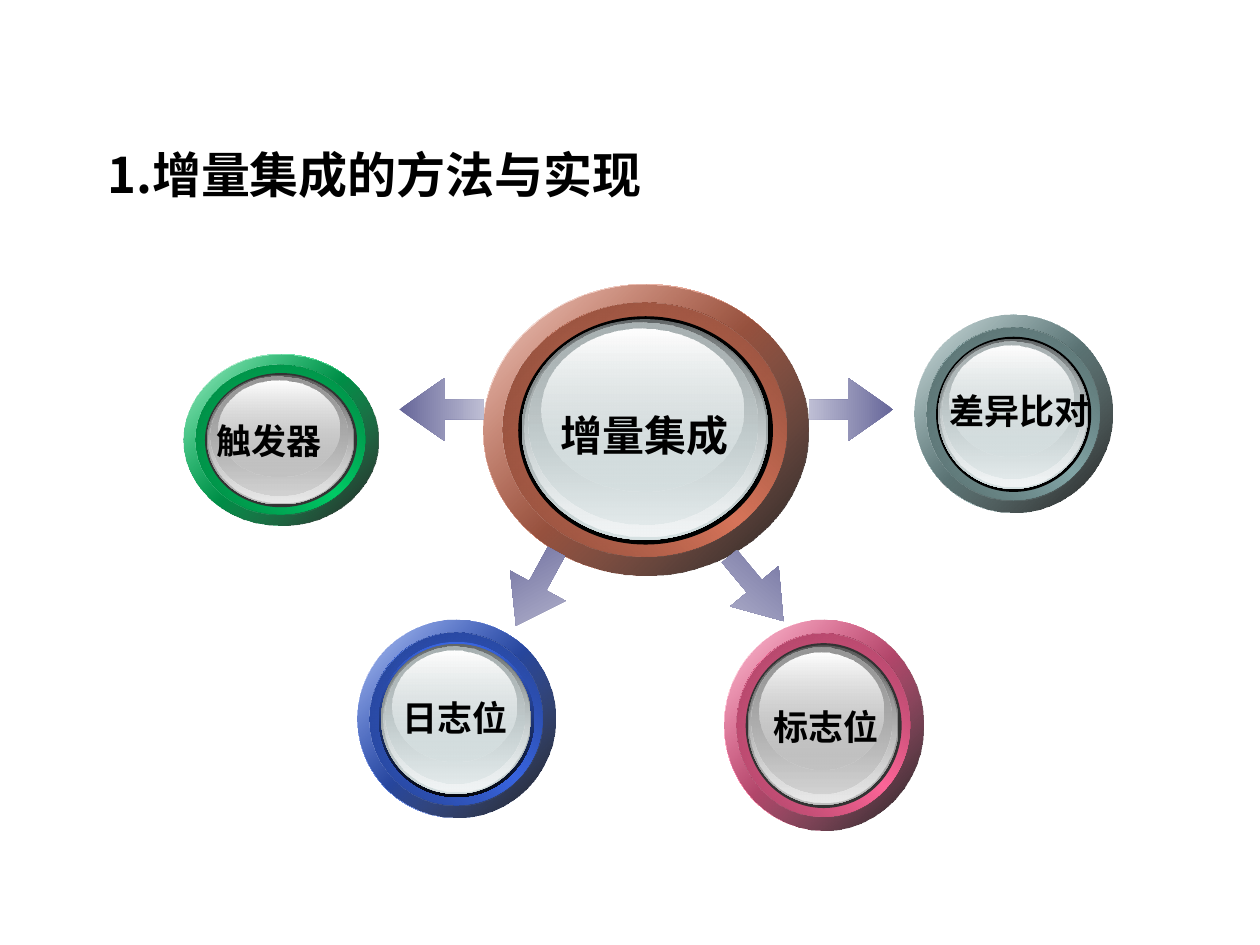
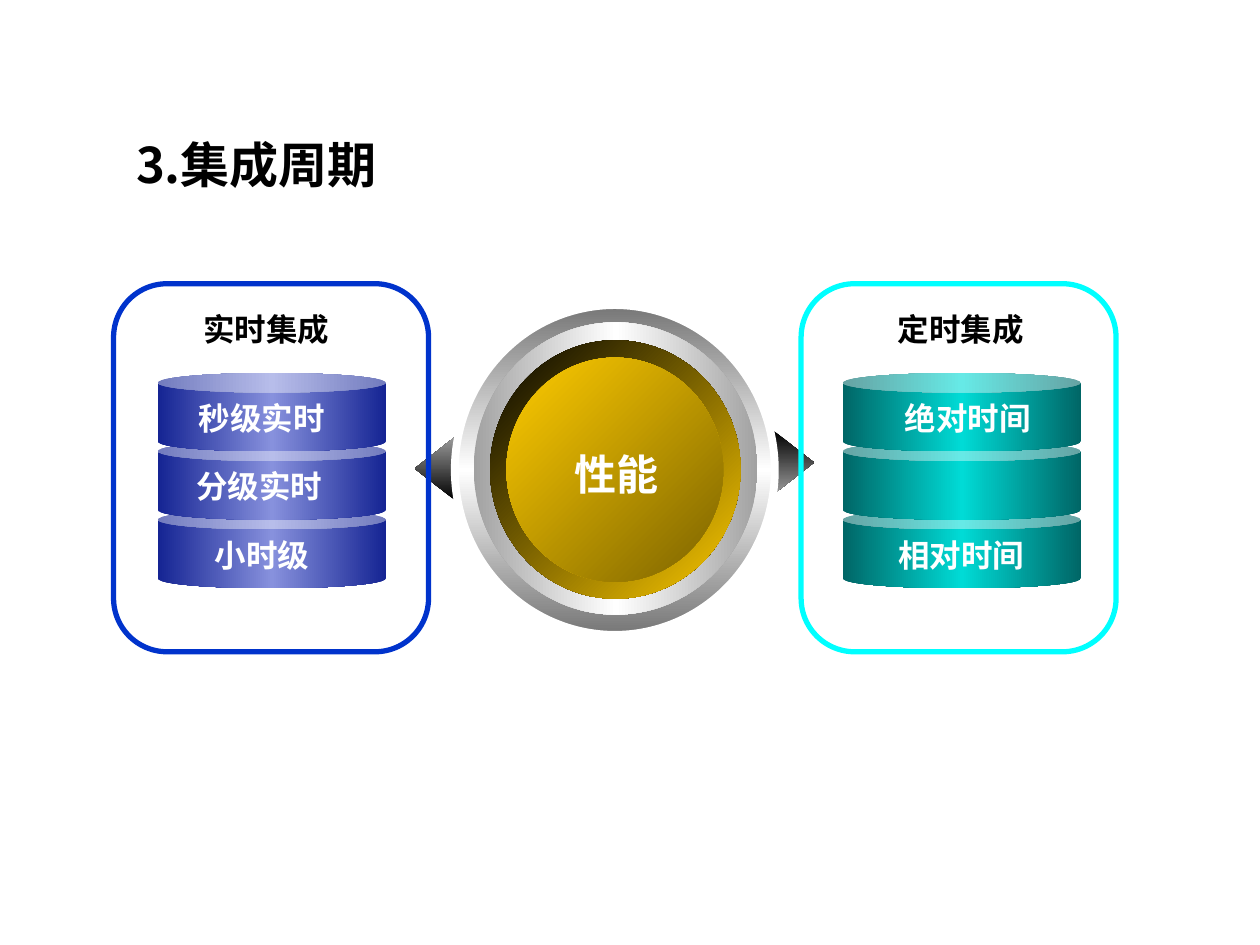
"""Build two slides on data integration: its methods and its cycles."""
from dataclasses import dataclass

from lxml import etree
from pptx import Presentation
from pptx import util as u
from pptx.dml.color import RGBColor
from pptx.enum import shapes, text
from pptx.oxml import ns

KIND = shapes.MSO_SHAPE
SIDE = text.PP_ALIGN


@dataclass(frozen=True)
class Theme:
    black: str = "000000"
    white: str = "FFFFFF"
    coal: str = "333333"
    rust: str = "D8755A"
    slate: str = "83A6A7"
    pink: str = "FF6699"
    green: str = "00CC66"
    blue: str = "3965E1"
    ice: str = "D6E1E2"
    silver: str = "C0C0C0"
    gold: str = "FFCC00"
    bronze: str = "7C6300"
    steel: str = "767676"
    chrome: str = "A2A2A2"
    ash: str = "9B9B9B"
    violet: str = "666699"
    lilac: str = "BEBED4"
    navy: tuple = ("152493", "8791DD", "152493")
    teal: tuple = ("006666", "00DBD6", "006666")
    royal: str = "0033CC"
    cyan: str = "00FFFF"
    latin: str = "Arial"
    head: str = "DejaVu Sans"
    asian: str = "Noto Sans CJK SC"
    title: int = 28
    large: int = 24
    medium: int = 20
    small: int = 18


def blend(color, goal, part):
    pairs = zip(bytes.fromhex(color), bytes.fromhex(goal))
    return bytes(round(a + (b - a) * part) for a, b in pairs).hex().upper()


def write(frame, words, size, color, font, asian, align=SIDE.CENTER,
          anchor=text.MSO_ANCHOR.TOP, wrap=False):
    frame.word_wrap = wrap
    frame.auto_size = text.MSO_AUTO_SIZE.NONE
    frame.vertical_anchor = anchor
    para = frame.paragraphs[0]
    para.alignment = align
    run = para.add_run()
    run.text = words
    run.font.size = u.Pt(size)
    run.font.bold = True
    run.font.name = font
    run.font.color.rgb = RGBColor.from_string(color)
    east = etree.Element(ns.qn("a:ea"), typeface=asian)
    run.font._element.find(ns.qn("a:latin")).addnext(east)


def shade(shape, stops, angle):
    shape.fill.gradient()
    grad = shape._element.spPr.find(ns.qn("a:gradFill"))
    grad.set("rotWithShape", "0")
    grad.find(ns.qn("a:lin")).set("ang", str(round(angle * 60000)))
    grad.find(ns.qn("a:lin")).set("scaled", "0")
    bands = grad.find(ns.qn("a:gsLst"))
    for old in list(bands):
        bands.remove(old)
    for i, stop in enumerate(stops):
        color, alpha = (stop, 100) if isinstance(stop, str) else stop
        place = 100000 * i // (len(stops) - 1)
        band = etree.SubElement(bands, ns.qn("a:gs"), pos=str(place))
        tone = etree.SubElement(band, ns.qn("a:srgbClr"), val=color)
        if alpha < 100:
            etree.SubElement(tone, ns.qn("a:alpha"), val=str(alpha * 1000))


class Deck:
    def __init__(self, theme):
        self.theme = theme
        self.file = Presentation()
        self.file.slide_width = u.Cm(25.4)
        self.file.slide_height = u.Cm(19.05)
        self.slide = None

    def page(self, words, left, top):
        self.slide = self.file.slides.add_slide(self.file.slide_layouts[5])
        head = self.slide.shapes.title
        head.left, head.top = u.Cm(left), u.Cm(top)
        head.width, head.height = u.Cm(20.52), u.Cm(1.57)
        t = self.theme
        write(head.text_frame, words, t.title, t.black, t.asian, t.asian,
              align=SIDE.LEFT, anchor=text.MSO_ANCHOR.MIDDLE, wrap=True)

    def shape(self, kind, box, fill=None, angle=0, turn=0, adjust=(),
              line=None, weight=0):
        item = self.slide.shapes.add_shape(kind, *map(u.Cm, box))
        item.shadow.inherit = False
        item.rotation = turn
        for i, value in enumerate(adjust):
            item.adjustments[i] = value
        if fill is None:
            item.fill.background()
        elif isinstance(fill, str):
            item.fill.solid()
            item.fill.fore_color.rgb = RGBColor.from_string(fill)
        else:
            shade(item, fill, angle)
        if line:
            item.line.color.rgb = RGBColor.from_string(line)
            item.line.width = u.Pt(weight)
        else:
            item.line.fill.background()

    def label(self, words, mid, top, size, color, font=None):
        wide, high = 4.6, 1.2
        box = self.slide.shapes.add_textbox(
            u.Cm(mid - wide / 2), u.Cm(top), u.Cm(wide), u.Cm(high))
        t = self.theme
        write(box.text_frame, words, size, color, font or t.latin, t.asian)

    def dial(self, box, rim, glass, core):
        t = self.theme
        edge = blend(rim, t.black, 0.46)
        layers = (
            ((0, 0, 100, 100), (t.white, rim, t.white), 45),
            ((0, 0, 100, 100), ((rim, 32), (t.black, 90)), 45),
            ((6.2, 6.3, 87.2, 87.2), (edge, rim, edge), 315),
            ((6, 6.3, 87.2, 87.2),
             (blend(rim, t.black, 0.37), (rim, 0)), 45),
            ((10.8, 11, 78.4, 78.4), core, 90),
            ((11.9, 12, 75.8, 75.8),
             (blend(glass, t.black, 0.54), glass), 90),
            ((12.8, 12.6, 74, 74),
             ((glass, 0), blend(glass, t.white, 0.65)), 90),
            ((13.9, 13.3, 70.4, 69.3),
             (blend(glass, t.black, 0.21), (glass, 48)), 90),
            ((17.8, 15.3, 62.4, 56), (t.white, (glass, 38)), 90),
        )
        left, top, wide, high = box
        for (x, y, w, h), fill, angle in layers:
            part = (left + wide * x / 100, top + high * y / 100,
                    wide * w / 100, high * h / 100)
            self.shape(KIND.OVAL, part, fill, angle)

    def stack(self, left, wide, fill, rows):
        top, step, high = 7.52, 1.38, 1.58
        for i in (2, 1, 0):
            self.shape(KIND.CAN, (left, top + i * step, wide, high), fill,
                       adjust=(0.25,))
        for i, words, mid in rows:
            self.label(words, mid, top + 0.4 + i * step,
                       self.theme.small, self.theme.white)

    def panel(self, left, color, words, mid):
        t = self.theme
        self.shape(KIND.ROUNDED_RECTANGLE, (left, 5.72, 6.35, 7.42),
                   adjust=(0.17,), line=color, weight=3)
        self.label(words, mid, 6.12, t.small, t.black, t.head)


def methods(deck):
    t = deck.theme
    deck.page("1.增量集成的方法与实现", 1.91, 2.72)
    arrows = ((16.31, 7.62, 180, 180), (9.96, 11.23, 298.6, 61),
              (8.05, 7.62, 0, 0), (14.4, 11.23, 230.2, 130))
    dials = (
        ((9.74, 5.73, 6.55, 5.87), t.rust, t.ice, t.black,
         "增量集成", 12.99, 8.13, t.large),
        ((18.44, 6.35, 3.99, 3.99), t.slate, t.ice, t.black,
         "差异比对", 20.56, 7.72, t.medium),
        ((14.6, 12.5, 4.01, 4.24), t.pink, t.silver, t.coal,
         "标志位", 16.65, 14.1, t.medium),
        ((3.71, 7.14, 3.91, 3.45), t.green, t.silver, t.coal,
         "触发器", 5.42, 8.33, t.medium),
        ((7.21, 12.5, 3.99, 3.99), t.blue, t.ice,
         (t.blue, blend(t.blue, t.black, 0.94)),
         "日志位", 9.18, 13.92, t.medium),
    )
    for i, (box, rim, glass, core, words, mid, top, size) in enumerate(dials):
        deck.dial(box, rim, glass, core)
        if i == 0:
            for x, y, turn, angle in arrows:
                deck.shape(KIND.LEFT_ARROW, (x, y, 1.7, 1.27),
                           (t.violet, t.lilac), angle, turn, (0.31, 0.72))
        deck.label(words, mid, top, size, t.black)


def cycles(deck):
    t = deck.theme
    deck.page("3.集成周期", 2.49, 2.51)
    for left, top, turn in ((8.13, 9.04, 270), (15.37, 8.92, 90)):
        deck.shape(KIND.UP_ARROW, (left, top, 1.27, 0.81),
                   (t.black, t.ash), turn, turn, (0.52, 1))
    deck.shape(KIND.OVAL, (9.17, 6.15, 6.45, 6.65),
               (t.steel, t.white, t.steel), 90, line=t.white, weight=4.5)
    discs = (((9.55, 6.5, 5.72, 5.89), (t.chrome, t.white, t.chrome), 0),
             ((9.88, 6.86, 5.05, 5.21), (t.black, t.gold), 45),
             ((10.21, 7.21, 4.37, 4.52), (t.gold, t.bronze), 45))
    for box, fill, angle in discs:
        deck.shape(KIND.OVAL, box, fill, angle)
    deck.label("性能", 12.43, 8.92, t.large, t.white)
    deck.stack(3.18, 4.6, t.navy, ((0, "秒级实时", 5.28),
                                   (1, "分级实时", 5.23),
                                   (2, "小时级", 5.28)))
    deck.stack(16.99, 4.8, t.teal, ((0, "绝对时间", 19.51),
                                    (2, "相对时间", 19.38)))
    deck.panel(2.29, t.royal, "实时集成", 5.37)
    deck.panel(16.15, t.cyan, "定时集成", 19.37)


def main():
    deck = Deck(Theme())
    methods(deck)
    cycles(deck)
    deck.file.save("out.pptx")


if __name__ == "__main__":
    main()
